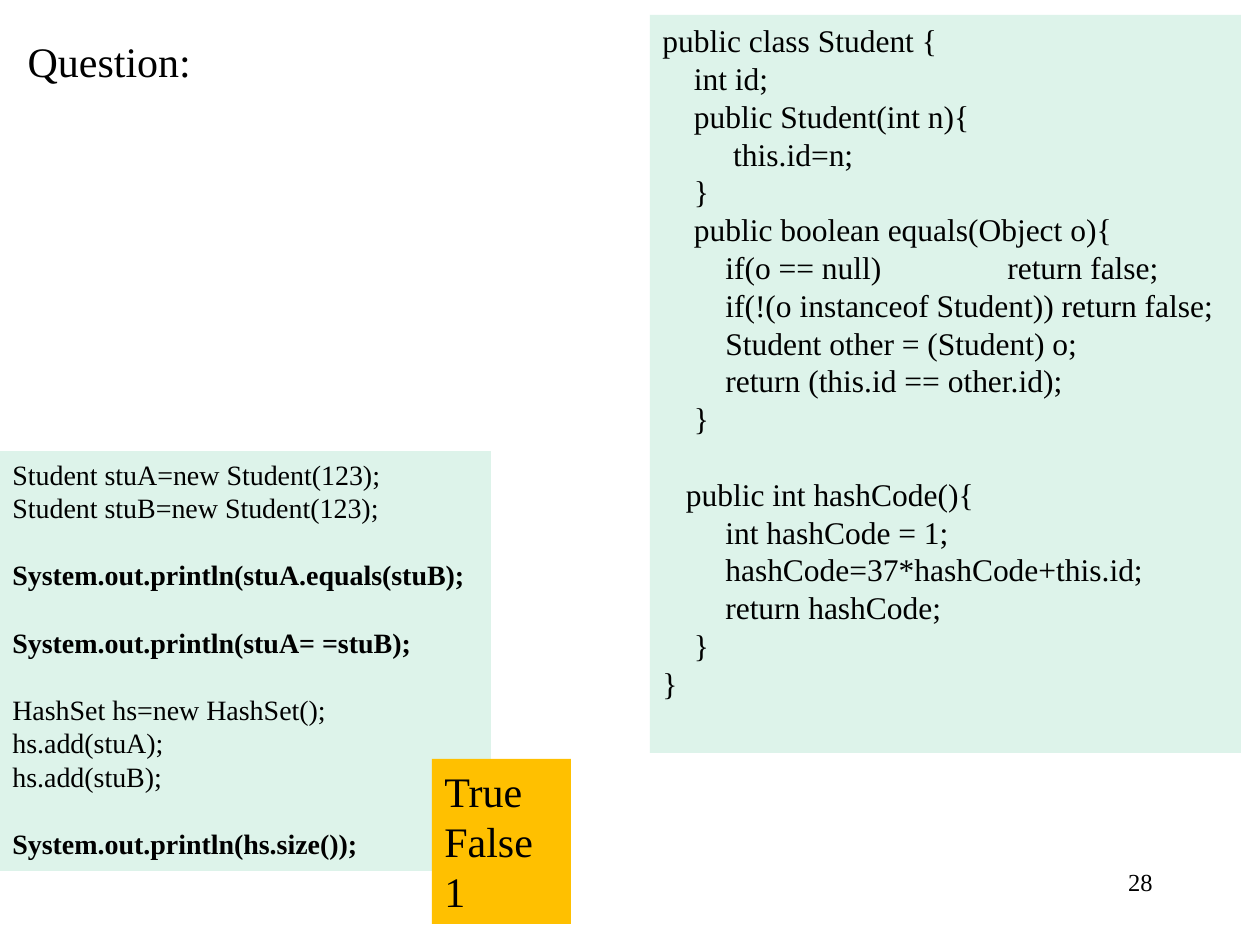
from pptx import Presentation
from pptx.dml.color import RGBColor
from pptx.enum.shapes import MSO_SHAPE
from pptx.enum.text import MSO_ANCHOR, PP_ALIGN
from pptx.oxml.ns import qn
from pptx.util import Pt
from lxml import etree

THEME = {
    "font": "Times New Roman", "ink": "000000",
    "code_fill": "DDF3EA", "answer_fill": "FFC000",
    "title": 24, "class": 18, "usage": 16, "answer": 24, "number": 14,
    "leading": 1.2, "space_width": 0.25,
}
EMU_PER_PX = 914400 / 126
TITLE_BOX = (15, 16, 1071, 90)
NUMBER_BOX = (903, 861, 262, 63)
RETURN_COLUMN = 345  # px from the text edge to the aligned "return"

TITLE = "Question:"
NUMBER = "28"
# Lines are (indent in characters, text, bold, blank lines before)
CLASS_CODE = [
    (0, "public class Student {", False, 0),
    (4, "int id;", False, 0),
    (4, "public Student(int n){", False, 0),
    (9, "this.id=n;", False, 0),
    (4, "}", False, 0),
    (4, "public boolean equals(Object o){", False, 0),
    (8, "if(o == null)\treturn false;", False, 0),
    (8, "if(!(o instanceof Student)) return false;", False, 0),
    (8, "Student other = (Student) o;", False, 0),
    (8, "return (this.id == other.id);", False, 0),
    (4, "}", False, 0),
    (3, "public int hashCode(){", False, 1),
    (8, "int hashCode = 1;", False, 0),
    (8, "hashCode=37*hashCode+this.id;", False, 0),
    (8, "return hashCode;", False, 0),
    (4, "}", False, 0),
    (0, "}", False, 0),
]
USAGE_CODE = [
    (0, "Student stuA=new Student(123);", False, 0),
    (0, "Student stuB=new Student(123);", False, 0),
    (0, "System.out.println(stuA.equals(stuB);", True, 1),
    (0, "System.out.println(stuA= =stuB);", True, 1),
    (0, "HashSet hs=new HashSet();", False, 1),
    (0, "hs.add(stuA);", False, 0),
    (0, "hs.add(stuB);", False, 0),
    (0, "System.out.println(hs.size());", True, 1),
]
ANSWERS = [(0, text, False, 0) for text in ("True", "False", "1")]
PANELS = [  # box, fill, size, lines
    ((650, 15, 591, 738), "code_fill", "class", CLASS_CODE),
    ((0, 451, 491, 420), "code_fill", "usage", USAGE_CODE),
    ((432, 759, 139, 165), "answer_fill", "answer", ANSWERS),
]


def px(n):
    return round(n * EMU_PER_PX)


def style(p, size, bold=False):
    p.font.name = THEME["font"]
    p.font.size = Pt(size)
    p.font.bold = bold
    p.font.color.rgb = RGBColor.from_string(THEME["ink"])


def set_tabs(p, stops):
    tabs = etree.Element(qn("a:tabLst"))
    for stop in stops:
        etree.SubElement(tabs, qn("a:tab"), pos=str(stop), algn="l")
    pPr = p._p.get_or_add_pPr()
    pPr.insert_element_before(tabs, "a:defRPr", "a:extLst")


def add_panel(s, box, fill, size, lines):
    sp = s.shapes.add_shape(MSO_SHAPE.RECTANGLE, *map(px, box))
    sp.shadow.inherit = False
    sp.fill.solid()
    sp.fill.fore_color.rgb = RGBColor.from_string(THEME[fill])
    sp.line.fill.background()
    tf = sp.text_frame
    tf.word_wrap = True
    tf.vertical_anchor = MSO_ANCHOR.TOP
    pt = THEME[size]
    leading = Pt(pt * THEME["leading"])
    for i, (indent, text, bold, blanks) in enumerate(lines):
        p = tf.paragraphs[0] if i == 0 else tf.add_paragraph()
        p.text = "\t" + text if indent else text
        p.alignment = PP_ALIGN.LEFT
        p.line_spacing = leading
        p.space_before = blanks * leading
        style(p, pt, bold)
        if indent:
            set_tabs(p, [Pt(indent * pt * THEME["space_width"]), px(RETURN_COLUMN)])


def main():
    prs = Presentation()
    prs.slide_width, prs.slide_height = px(1260), px(945)
    s = prs.slides.add_slide(prs.slide_layouts[5])

    title = s.shapes.title
    title.left, title.top, title.width, title.height = map(px, TITLE_BOX)
    title.text_frame.text = TITLE
    title.text_frame.vertical_anchor = MSO_ANCHOR.MIDDLE
    p = title.text_frame.paragraphs[0]
    p.alignment = PP_ALIGN.LEFT
    style(p, THEME["title"])

    tf = s.shapes.add_textbox(*map(px, NUMBER_BOX)).text_frame
    tf.word_wrap = True
    p = tf.paragraphs[0]
    p.text = NUMBER
    p.alignment = PP_ALIGN.RIGHT
    style(p, THEME["number"])

    for panel in PANELS:
        add_panel(s, *panel)
    prs.save("out.pptx")


if __name__ == "__main__":
    main()
